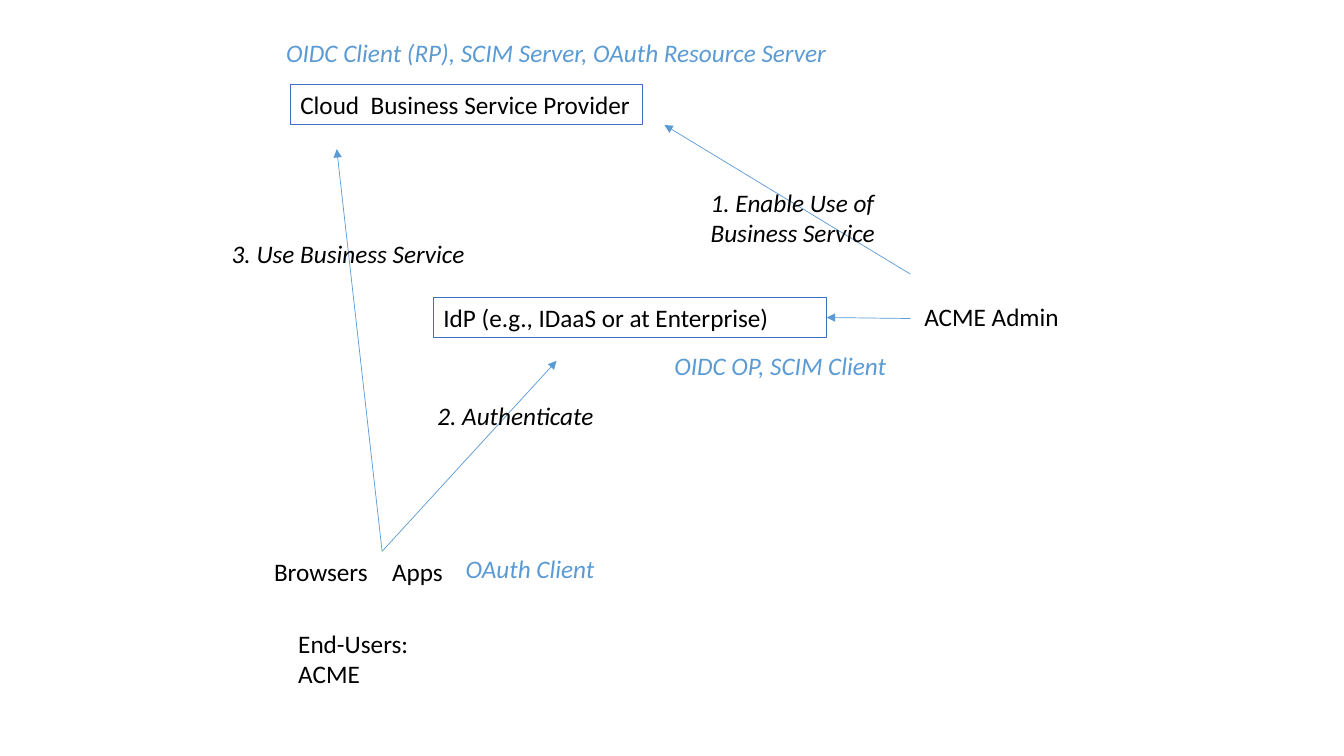
from dataclasses import dataclass

from lxml.etree import SubElement
from pptx import Presentation
from pptx.dml.color import RGBColor
from pptx.enum.shapes import MSO_CONNECTOR, MSO_SHAPE
from pptx.enum.text import MSO_ANCHOR, MSO_AUTO_SIZE, PP_ALIGN
from pptx.oxml.ns import qn
from pptx.util import Pt

PX = 9144


@dataclass(frozen=True)
class Theme:
    font: str = "Calibri"
    size: float = 18
    ink: str = "000000"
    accent: str = "5B9BD5"
    border: str = "3F6FC3"
    border_width: float = 0.75
    arrow_width: float = 0.5


def apply_format(target, values):
    for name, value in values.items():
        setattr(target, name, value)


class Diagram:
    def __init__(self, slide, theme):
        self.shapes = slide.shapes
        self.theme = theme

    def fill_in(self, holder, wording, color, italic):
        frame = holder.text_frame
        apply_format(frame, {
            "word_wrap": True,
            "auto_size": MSO_AUTO_SIZE.SHAPE_TO_FIT_TEXT,
            "vertical_anchor": MSO_ANCHOR.TOP,
        })
        paragraph = frame.paragraphs[0]
        paragraph.alignment = PP_ALIGN.LEFT
        run = paragraph.add_run()
        run.text = wording
        apply_format(run.font, {
            "name": self.theme.font,
            "size": Pt(self.theme.size),
            "italic": italic,
        })
        run.font.color.rgb = RGBColor.from_string(color)

    def box(self, wording, *bounds):
        rectangle = self.shapes.add_shape(
            MSO_SHAPE.RECTANGLE, *(length * PX for length in bounds))
        rectangle.shadow.inherit = False
        rectangle.fill.background()
        rectangle.line.color.rgb = RGBColor.from_string(self.theme.border)
        rectangle.line.width = Pt(self.theme.border_width)
        self.fill_in(rectangle, wording, self.theme.ink, False)
        return rectangle

    def label(self, wording, *bounds, color=None, italic=False):
        caption = self.shapes.add_textbox(*(length * PX for length in bounds))
        self.fill_in(caption, wording, color or self.theme.ink, italic)

    def step(self, wording, *bounds):
        self.label(wording, *bounds, italic=True)

    def role(self, wording, left, top):
        self.label(wording, left, top, 586, 40,
                   color=self.theme.accent, italic=True)

    def arrow(self, start, end, target=None, side=3):
        connector = self.shapes.add_connector(
            MSO_CONNECTOR.STRAIGHT, *(length * PX for length in start + end))
        connector.line.color.rgb = RGBColor.from_string(self.theme.accent)
        connector.line.width = Pt(self.theme.arrow_width)
        properties = connector.element.spPr
        SubElement(properties.find(qn("a:ln")), qn("a:tailEnd"), type="triangle")
        SubElement(properties, qn("a:effectLst"))
        if target is not None:
            connector.end_connect(target, side)


def main():
    deck = Presentation()
    apply_format(deck, {"slide_width": 1333 * PX, "slide_height": 750 * PX})
    diagram = Diagram(deck.slides.add_slide(deck.slide_layouts[6]), Theme())

    diagram.box("Cloud  Business Service Provider", 288, 84, 349, 40)
    identity_provider = diagram.box(
        "IdP (e.g., IDaaS or at Enterprise)", 430, 295, 390, 40)

    diagram.label("End-Users: ACME", 286, 618, 166, 71)
    diagram.label("Browsers", 262, 547, 117, 40)
    diagram.label("Apps", 379, 547, 117, 40)
    diagram.label("ACME Admin", 907, 294, 160, 40)

    client = (379, 547)
    diagram.arrow(client, (552, 358))
    diagram.arrow(client, (334, 148))
    diagram.arrow((903, 316), (820, 315), identity_provider)
    diagram.arrow((903, 272), (659, 124))

    diagram.step("2. Authenticate", 424, 392, 210, 40)
    diagram.step("3. Use Business Service", 220, 232, 263, 40)
    diagram.step("1. Enable Use of Business Service", 695, 181, 190, 71)

    diagram.role("OIDC Client (RP), SCIM Server, OAuth Resource Server", 274, 32)
    diagram.role("OIDC OP, SCIM Client", 659, 343)
    diagram.role("OAuth Client", 452, 544)

    deck.save("out.pptx")


if __name__ == "__main__":
    main()
